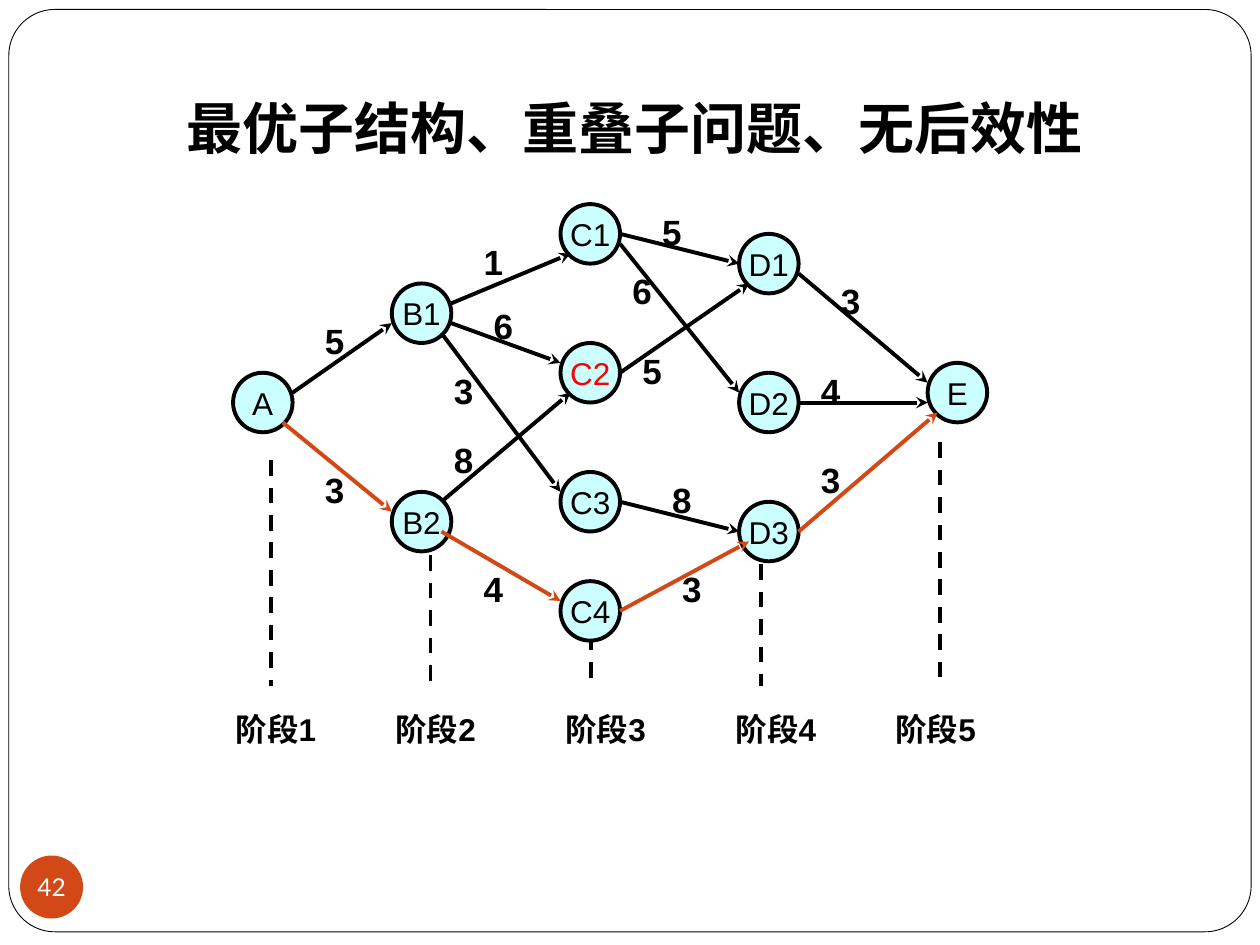
from dataclasses import dataclass

from lxml.etree import SubElement
from pptx import Presentation
from pptx.dml.color import RGBColor
from pptx.enum.dml import MSO_LINE_DASH_STYLE as Dash
from pptx.enum.shapes import MSO_CONNECTOR as Connector, MSO_SHAPE as Preset
from pptx.enum.text import MSO_ANCHOR as Anchor, MSO_AUTO_SIZE as AutoSize, PP_ALIGN as Align
from pptx.oxml.ns import qn
from pptx.util import Inches, Pt

COLORS = {"ink": "000000", "paper": "FFFFFF", "accent": "D34817",
          "node": "CCFFFF", "highlight": "FF0000"}
WIDTH, HEIGHT = 10, 7.5
LEFT, TOP = 1.85, 1.62
CELL = 0.63 / 8
NODE_CELLS = 6
STROKE = 2.25
STAGE_END_ROW, STAGE_LABEL_ROW = 48.6, 50.4


@dataclass(frozen=True)
class Node:
    name: str
    col: float
    row: float
    color: str = "ink"


@dataclass(frozen=True)
class Edge:
    start: tuple[float, float]
    end: tuple[float, float]
    weight: int
    weight_at: tuple[float, float]
    color: str = "ink"


@dataclass(frozen=True)
class Stage:
    line_col: float
    line_row: float
    label_col: float


NODES = [
    Node("A", 0, 17),
    Node("B1", 16, 8), Node("B2", 16, 29),
    Node("C1", 33, 0), Node("C2", 33, 14, "highlight"), Node("C3", 33, 27), Node("C4", 33, 38),
    Node("D1", 51, 3), Node("D2", 51, 17), Node("D3", 51, 30),
    Node("E", 70, 16),
]
EDGES = [
    Edge((6, 19), (16, 12), 5, (8, 11)),
    Edge((5, 22), (16, 31), 3, (8, 26), "accent"),
    Edge((22, 10), (34, 5), 1, (24, 3)),
    Edge((22, 12), (33, 16), 6, (25, 9.5)),
    Edge((21, 13), (33, 29), 3, (21, 16)),
    Edge((21, 30), (34, 19), 8, (21, 23)),
    Edge((21, 33), (33, 40), 4, (24, 36), "accent"),
    Edge((39, 3), (51, 6), 5, (42, 0)),
    Edge((39, 4), (51, 19), 6, (39, 6)),
    Edge((39, 17), (52, 8), 5, (40, 14)),
    Edge((39, 30), (51, 33), 8, (43, 27)),
    Edge((39, 41), (52, 34), 3, (44, 36), "accent"),
    Edge((57, 7), (70, 18), 3, (60, 7)),
    Edge((57, 20), (70, 20), 4, (58, 16)),
    Edge((57, 33), (71, 21), 3, (58, 25), "accent"),
]
STAGES = [
    Stage(3.8, 25.8, -1), Stage(19.9, 35.4, 15.1), Stage(36.1, 43.4, 32.25),
    Stage(53.2, 36.3, 49.4), Stage(71.2, 24, 65.5),
]


def rgb(name: str) -> RGBColor:
    return RGBColor.from_string(COLORS[name])


def grid_point(col: float, row: float) -> tuple[int, int]:
    return Inches(LEFT + col * CELL), Inches(TOP + row * CELL)


def share_box(x: float, y: float, w: float, h: float) -> tuple[int, ...]:
    return Inches(x * WIDTH), Inches(y * HEIGHT), Inches(w * WIDTH), Inches(h * HEIGHT)


def write(shape, text: str, *, size: float, font: str = "Arial", color: str = "ink",
          bold: bool = False, align=Align.LEFT, anchor=Anchor.TOP,
          wrap: bool = True, inset: float | None = None) -> None:
    frame = shape.text_frame
    frame.auto_size = AutoSize.NONE
    frame.word_wrap = wrap
    frame.vertical_anchor = anchor
    if inset is not None:
        frame.margin_left = frame.margin_right = Inches(inset)
        frame.margin_top = frame.margin_bottom = Inches(inset)
    paragraph = frame.paragraphs[0]
    paragraph.alignment = align
    run = paragraph.add_run()
    run.text = text
    run.font.name, run.font.size, run.font.bold = font, Pt(size), bold
    run.font.color.rgb = rgb(color)


def add_preset(slide, preset, box: tuple[int, ...], *, fill: str,
               line: str | None = None, weight: float = STROKE):
    shape = slide.shapes.add_shape(preset, *box)
    shape.shadow.inherit = False
    shape.fill.solid()
    shape.fill.fore_color.rgb = rgb(fill)
    if line:
        shape.line.color.rgb = rgb(line)
        shape.line.width = Pt(weight)
    else:
        shape.line.fill.background()
    return shape


def add_line(slide, start: tuple[float, float], end: tuple[float, float], *,
             color: str = "ink", dashed: bool = False, arrow: bool = False) -> None:
    line = slide.shapes.add_connector(Connector.STRAIGHT, *grid_point(*start), *grid_point(*end))
    line.line.color.rgb = rgb(color)
    line.line.width = Pt(STROKE)
    if dashed:
        line.line.dash_style = Dash.DASH
    if arrow:
        SubElement(line.line._get_or_add_ln(), qn("a:tailEnd"), type="stealth")
    SubElement(line._element.spPr, qn("a:effectLst"))


def add_label(slide, text: str, at: tuple[float, float], cols: float, rows: float,
              size: float) -> None:
    box = slide.shapes.add_textbox(*grid_point(*at), Inches(cols * CELL), Inches(rows * CELL))
    write(box, text, size=size, bold=True)


def add_node(slide, node: Node) -> None:
    side = Inches(NODE_CELLS * CELL)
    circle = add_preset(slide, Preset.OVAL, (*grid_point(node.col, node.row), side, side),
                        fill="node", line="ink")
    write(circle, node.name, size=18, color=node.color, align=Align.CENTER,
          anchor=Anchor.MIDDLE, wrap=False)


def add_stage(slide, number: int, stage: Stage) -> None:
    add_line(slide, (stage.line_col, stage.line_row), (stage.line_col, STAGE_END_ROW), dashed=True)
    add_label(slide, f"阶段{number}", (stage.label_col, STAGE_LABEL_ROW), 11.5, 5, 18)


def main() -> None:
    deck = Presentation()
    deck.slide_width, deck.slide_height = Inches(WIDTH), Inches(HEIGHT)
    slide = deck.slides.add_slide(deck.slide_layouts[5])
    slide.background.fill.solid()
    slide.background.fill.fore_color.rgb = rgb("paper")

    border = add_preset(slide, Preset.ROUNDED_RECTANGLE, share_box(0.007, 0.01, 0.986, 0.976),
                        fill="paper", line="ink", weight=0.5)
    border.adjustments[0] = 0.05
    slide.shapes._spTree.insert(2, border._element)

    page = add_preset(slide, Preset.OVAL, (Inches(0.16), Inches(6.79), Inches(0.5), Inches(0.5)),
                      fill="accent")
    write(page, "42", size=14, font="Lato", color="paper", align=Align.CENTER,
          anchor=Anchor.MIDDLE, wrap=False, inset=0)

    title = slide.shapes.title
    title.left, title.top, title.width, title.height = share_box(0.138, 0.092, 0.748, 0.085)
    write(title, "最优子结构、重叠子问题、无后效性", size=32, font="Times New Roman", bold=True)

    for number, stage in enumerate(STAGES, start=1):
        add_stage(slide, number, stage)
    for node in NODES:
        add_node(slide, node)
    for edge in EDGES:
        add_line(slide, edge.start, edge.end, color=edge.color, arrow=True)
    for edge in EDGES:
        add_label(slide, str(edge.weight), edge.weight_at, 5, 5.6, 20)

    deck.save("out.pptx")


if __name__ == "__main__":
    main()
